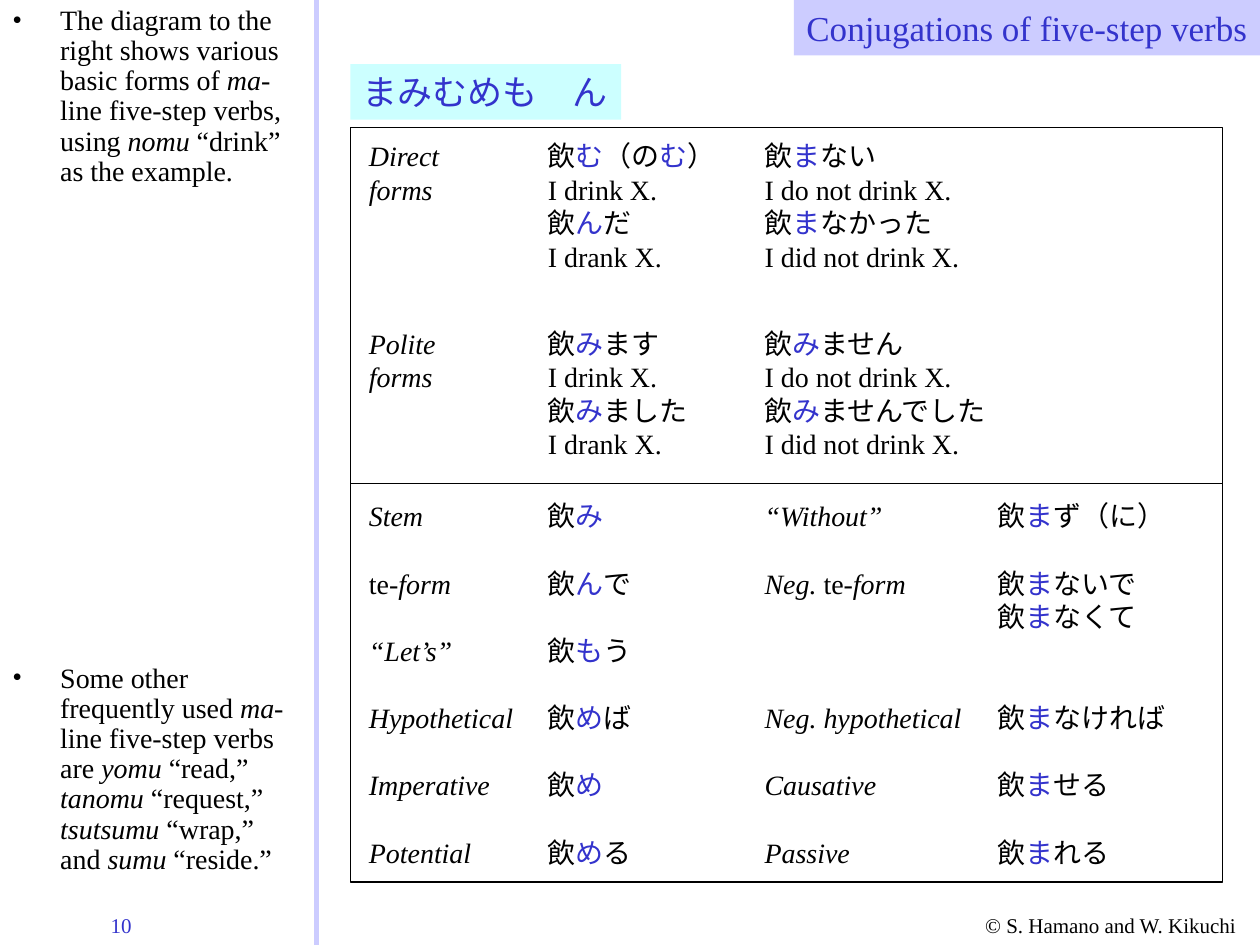
from dataclasses import dataclass

import pptx
import pptx.dml.color
import pptx.enum.shapes
import pptx.enum.text
import pptx.oxml.ns
import pptx.util
from lxml import etree

Inches = pptx.util.Inches
Pt = pptx.util.Pt


def color(value):
    return pptx.dml.color.RGBColor.from_string(value)


@dataclass(frozen=True)
class Theme:
    font: str = "Times New Roman"
    ink: str = "000000"
    accent: str = "3333CC"
    lavender: str = "CCCCFF"
    aqua: str = "CCFFFF"
    title_size: int = 20
    body_size: int = 16
    footer_size: int = 12


@dataclass(frozen=True)
class Box:
    left: float
    top: float
    width: float
    height: float

    def lengths(self):
        return [Inches(value) for value in (self.left, self.top, self.width, self.height)]


THEME = Theme()
LABEL, FIRST, SECOND, THIRD = 0.05, 1.47, 3.19, 5.04
WIDTH_ALLOWANCE = 0.03

DIRECT_FORMS = [
    (LABEL, 0.76, ["*Direct*", "*forms*"]),
    (FIRST, 1.53, ["飲~む~（の~む~）", "I drink X.", "飲~ん~だ", "I drank X."]),
    (SECOND, 1.74, ["飲~ま~ない", "I do not drink X.", "飲~ま~なかった", "I did not drink X."]),
]
POLITE_FORMS = [
    (LABEL, 0.73, ["*Polite*", "*forms*"]),
    (FIRST, 1.31, ["飲~み~ます", "I drink X.", "飲~み~ました", "I drank X."]),
    (SECOND, 1.97, ["飲~み~ません", "I do not drink X.", "飲~み~ませんでした", "I did not drink X."]),
]
OTHER_FORMS = [
    [(LABEL, 0.63, ["*Stem*"]), (FIRST, 0.64, ["飲~み~"]),
     (SECOND, 1.15, ["*“Without”*"]), (THIRD, 1.53, ["飲~ま~ず（に）"])],
    [(LABEL, 0.85, ["te*-form*"]), (FIRST, 0.86, ["飲~ん~で"]),
     (SECOND, 1.32, ["*Neg. *te*-form*"]), (THIRD, 1.31, ["飲~ま~ないで", "飲~ま~なくて"])],
    [(LABEL, 0.89, ["*“Let’s”*"]), (FIRST, 0.86, ["飲~も~う"])],
    [(LABEL, 1.34, ["*Hypothetical*"]), (FIRST, 0.86, ["飲~め~ば"]),
     (SECOND, 1.76, ["*Neg. hypothetical*"]), (THIRD, 1.53, ["飲~ま~なければ"])],
    [(LABEL, 1.16, ["*Imperative*"]), (FIRST, 0.64, ["飲~め~"]),
     (SECOND, 1.08, ["*Causative*"]), (THIRD, 1.08, ["飲~ま~せる"])],
    [(LABEL, 1.01, ["*Potential*"]), (FIRST, 0.86, ["飲~め~る"]),
     (SECOND, 0.87, ["*Passive*"]), (THIRD, 1.08, ["飲~ま~れる"])],
]
INTRODUCTION = (
    "The diagram to the right shows various basic forms of *ma-*line five-step verbs, "
    "using *nomu* “drink” as the example."
)
OTHER_VERBS = (
    "Some other frequently used *ma-*line five-step verbs are *yomu* “read,” "
    "*tanomu* “request,” *tsutsumu* “wrap,” and *sumu* “reside.”"
)


def write_marked(paragraph, marked, size, base):
    for part_index, part in enumerate(marked.split("*")):
        for piece_index, piece in enumerate(part.split("~")):
            if piece:
                run = paragraph.add_run()
                run.text = piece
                run.font.name = THEME.font
                run.font.size = Pt(size)
                run.font.italic = part_index % 2 == 1
                run.font.color.rgb = color(THEME.accent if piece_index % 2 else base)


def fill_text(shape, lines, size=THEME.body_size, base=THEME.ink, wrap=False):
    text_frame = shape.text_frame
    text_frame.word_wrap = wrap
    if not wrap:
        text_frame.auto_size = pptx.enum.text.MSO_AUTO_SIZE.SHAPE_TO_FIT_TEXT
    text_frame.vertical_anchor = pptx.enum.text.MSO_ANCHOR.TOP
    for index, line in enumerate(lines):
        paragraph = text_frame.add_paragraph() if index else text_frame.paragraphs[0]
        paragraph.alignment = pptx.enum.text.PP_ALIGN.LEFT
        write_marked(paragraph, line, size, base)
    return text_frame


def add_text(slide, box, lines, **style):
    return fill_text(slide.shapes.add_textbox(*box.lengths()), lines, **style)


def add_rectangle(slide, box):
    shape = slide.shapes.add_shape(pptx.enum.shapes.MSO_SHAPE.RECTANGLE, *box.lengths())
    shape.shadow.inherit = False
    return shape


def add_band(slide, box, text, fill, alignment):
    shape = add_rectangle(slide, box)
    shape.fill.solid()
    shape.fill.fore_color.rgb = color(fill)
    shape.line.fill.background()
    text_frame = fill_text(shape, [text], size=THEME.title_size, base=THEME.accent)
    text_frame.paragraphs[0].alignment = alignment


def add_frame(slide, box):
    shape = add_rectangle(slide, box)
    shape.fill.background()
    shape.line.color.rgb = color(THEME.ink)
    shape.line.width = Pt(0.75)


def add_bullet(slide, box, text):
    paragraph = add_text(slide, box, [text], wrap=True).paragraphs[0]
    paragraph.line_spacing = 0.9
    properties = paragraph._p.get_or_add_pPr()
    properties.set("marL", str(Inches(0.38)))
    properties.set("indent", str(-Inches(0.38)))
    bullet_font = etree.SubElement(properties, pptx.oxml.ns.qn("a:buFont"))
    bullet_font.set("typeface", THEME.font)
    bullet = etree.SubElement(properties, pptx.oxml.ns.qn("a:buChar"))
    bullet.set("char", "•")


def add_sidebar(slide, box):
    right = Inches(box.left + box.width)
    divider = slide.shapes.add_connector(
        pptx.enum.shapes.MSO_CONNECTOR.STRAIGHT,
        right, Inches(box.top), right, Inches(box.top + box.height),
    )
    divider.line.color.rgb = color(THEME.lavender)
    divider.line.width = Pt(3)
    etree.SubElement(divider._element.spPr, pptx.oxml.ns.qn("a:effectLst"))
    text_width = box.width - 0.07
    add_bullet(slide, Box(box.left, box.top, text_width, 1.75), INTRODUCTION)
    add_bullet(slide, Box(box.left, box.top + 5.22, text_width, 1.78), OTHER_VERBS)


def add_entries(slide, box, top, entries):
    for offset, width, lines in entries:
        height = 0.1 + 0.27 * len(lines)
        entry_box = Box(box.left + offset, box.top + top, width + WIDTH_ALLOWANCE, height)
        add_text(slide, entry_box, lines)


def add_main_forms(slide, box):
    add_entries(slide, box, 0.04, DIRECT_FORMS)
    add_entries(slide, box, 1.53, POLITE_FORMS)
    add_frame(slide, box)


def add_other_forms(slide, box):
    row_step = (box.height - 0.49) / (len(OTHER_FORMS) - 1)
    for row, entries in enumerate(OTHER_FORMS):
        add_entries(slide, box, 0.07 + row * row_step, entries)
    add_frame(slide, box)


def add_footer(slide, box):
    add_text(slide, Box(box.left + 0.78, box.top, 0.89, box.height), ["10"],
             size=THEME.footer_size, base=THEME.accent, wrap=True)
    add_text(slide, Box(box.left + box.width - 2.28, box.top, 2.28, box.height),
             ["© S. Hamano and W. Kikuchi"], size=THEME.footer_size, wrap=True)


def main():
    presentation = pptx.Presentation()
    presentation.slide_width = Inches(10)
    presentation.slide_height = Inches(7.5)
    slide = presentation.slides.add_slide(presentation.slide_layouts[6])
    alignment = pptx.enum.text.PP_ALIGN
    add_footer(slide, Box(0, 7.19, 10, 0.3))
    add_sidebar(slide, Box(0, 0, 2.51, 7.5))
    add_band(slide, Box(6.3, 0, 3.7, 0.44), "Conjugations of five-step verbs",
             THEME.lavender, alignment.RIGHT)
    add_band(slide, Box(2.78, 0.51, 2.15, 0.44), "まみむめも　ん", THEME.aqua, alignment.LEFT)
    add_main_forms(slide, Box(2.78, 1.01, 6.92, 2.83))
    add_other_forms(slide, Box(2.78, 3.84, 6.92, 3.16))
    presentation.save("out.pptx")


if __name__ == "__main__":
    main()
